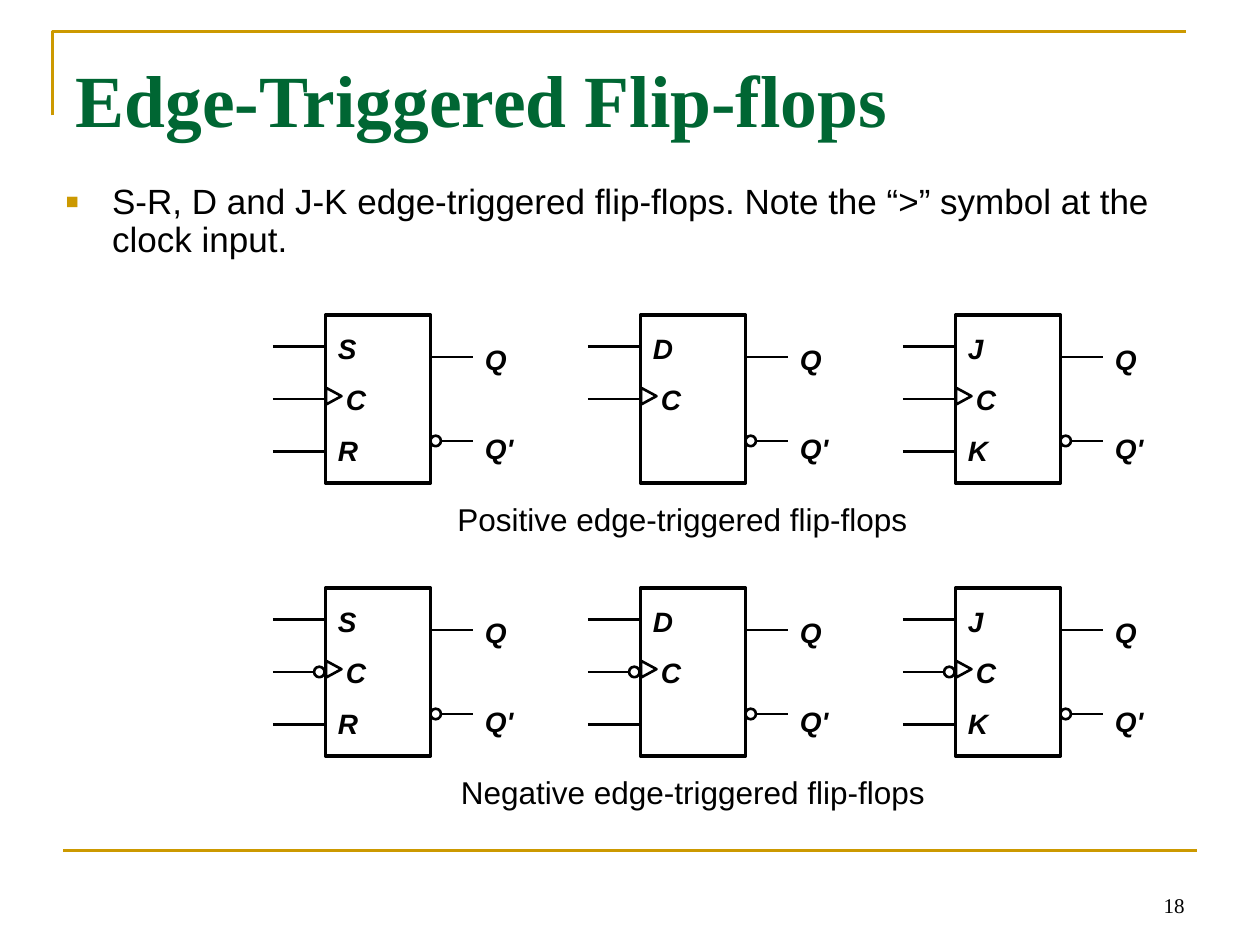
from dataclasses import dataclass
from typing import Optional

from lxml.etree import SubElement
from pptx import Presentation
from pptx.dml.color import RGBColor
from pptx.enum.shapes import MSO_CONNECTOR, MSO_SHAPE
from pptx.enum.text import MSO_ANCHOR, PP_ALIGN
from pptx.oxml.ns import qn
from pptx.util import Pt


@dataclass(frozen=True)
class Theme:
    ink: RGBColor = RGBColor(0x00, 0x00, 0x00)
    green: RGBColor = RGBColor(0x00, 0x66, 0x33)
    gold: RGBColor = RGBColor(0xCC, 0x99, 0x00)
    serif: str = "Times New Roman"
    sans: str = "Arial"
    title_size: float = 42
    body_size: float = 20
    caption_size: float = 18
    label_size: float = 16
    number_size: float = 12
    line_width: float = 1.5
    box_width: float = 2


@dataclass(frozen=True)
class FlipFlop:
    first: str
    last: Optional[str]
    last_when_positive: bool = True


@dataclass(frozen=True)
class Row:
    top: float
    negative: bool
    caption: str
    caption_left: float


THEME = Theme()
FLIP_FLOPS = [FlipFlop("S", "R"), FlipFlop("D", None, False), FlipFlop("J", "K")]
ROWS = [
    Row(180, False, "Positive edge-triggered flip-flops", 246),
    Row(336, True, "Negative edge-triggered flip-flops", 252),
]
FIRST_LEFT, COLUMN_PITCH = 186, 180
BOX_WIDTH, BOX_HEIGHT = 60, 96
BUBBLE = 6
LEAD_IN, LEAD_OUT = 30, 24
FIRST_INPUT, CLOCK_INPUT, LAST_INPUT = 18, 48, 78
TRUE_OUTPUT, INVERTED_OUTPUT = 24, 72


def set_font(para, size: float, name: str = THEME.sans, color=THEME.ink,
             bold: bool = False, italic: bool = False) -> None:
    font = para.font
    font.size, font.name = Pt(size), name
    font.bold, font.italic = bold, italic
    font.color.rgb = color


def add_text(shapes, left: float, top: float, width: float, height: float,
             lines: list[str]):
    box = shapes.add_textbox(Pt(left), Pt(top), Pt(width), Pt(height))
    frame = box.text_frame
    frame.word_wrap = True
    frame.text = "\n".join(lines)
    return frame


def add_line(shapes, x1: float, y1: float, x2: float, y2: float, color=THEME.ink):
    line = shapes.add_connector(MSO_CONNECTOR.STRAIGHT, Pt(x1), Pt(y1), Pt(x2), Pt(y2))
    line.line.color.rgb = color
    line.line.width = Pt(THEME.line_width)
    SubElement(line._element.spPr, qn("a:effectLst"))
    return line


def add_outline(shapes, kind, left: float, top: float, width: float, height: float,
                weight: float = THEME.line_width):
    shape = shapes.add_shape(kind, Pt(left), Pt(top), Pt(width), Pt(height))
    shape.shadow.inherit = False
    shape.fill.background()
    shape.line.color.rgb = THEME.ink
    shape.line.width = Pt(weight)
    return shape


def add_bubble(shapes, left: float, center: float) -> None:
    add_outline(shapes, MSO_SHAPE.OVAL, left, center - BUBBLE / 2, BUBBLE, BUBBLE)


def add_labels(shapes, left: float, top: float, width: float, height: float,
               lines: list[str], gap: float):
    frame = add_text(shapes, left, top, width, height, lines)
    for index, para in enumerate(frame.paragraphs):
        if index:
            para.space_before = Pt(gap)
        set_font(para, THEME.label_size, bold=True, italic=True)
    return frame


def draw_flip_flop(page, left: float, top: float, kind: FlipFlop, negative: bool) -> None:
    shapes = page.shapes.add_group_shape().shapes
    right, start = left + BOX_WIDTH, left - LEAD_IN
    output_end = right + LEAD_OUT
    clock, inverted = top + CLOCK_INPUT, top + INVERTED_OUTPUT
    box = add_outline(shapes, MSO_SHAPE.RECTANGLE, left, top, BOX_WIDTH, BOX_HEIGHT,
                      THEME.box_width)

    add_line(shapes, start, top + FIRST_INPUT, left, top + FIRST_INPUT)
    if negative:
        add_line(shapes, start, clock, left - BUBBLE, clock)
        add_bubble(shapes, left - BUBBLE - 0.5, clock)
    else:
        add_line(shapes, start, clock, left, clock).end_connect(box, 1)
    if negative or kind.last_when_positive:
        add_line(shapes, start, top + LAST_INPUT, left, top + LAST_INPUT)
    wedge = add_outline(shapes, MSO_SHAPE.ISOSCELES_TRIANGLE, left, top + 42, 9.5, 8.75)
    wedge.rotation = 90

    add_line(shapes, right, top + TRUE_OUTPUT, output_end, top + TRUE_OUTPUT)
    add_bubble(shapes, right, inverted)
    add_line(shapes, right + BUBBLE, inverted, output_end, inverted)

    inputs = [kind.first, "C"] + ([kind.last] if kind.last else [])
    frame = add_labels(shapes, left, top + 6, 42, 85 if kind.last else 55, inputs, 10)
    frame.paragraphs[1]._p.get_or_add_pPr().set("marL", str(Pt(4.5)))
    add_labels(shapes, output_end, top + 12, 36, 77, ["Q", "Q'"], 32)


def add_bullet(para) -> None:
    properties = para._p.get_or_add_pPr()
    properties.set("marL", str(Pt(27)))
    properties.set("indent", str(Pt(-27)))
    color = SubElement(properties, qn("a:buClr"))
    SubElement(color, qn("a:srgbClr"), val=str(THEME.gold))
    SubElement(properties, qn("a:buSzPct"), val="120000")
    SubElement(properties, qn("a:buFont"), typeface=THEME.sans)
    SubElement(properties, qn("a:buChar"), char="▪")


def draw_frame(page) -> None:
    builder = page.shapes.build_freeform(Pt(30), Pt(66))
    builder.add_line_segments([(Pt(30), Pt(18)), (Pt(678), Pt(18))], close=False)
    corner = builder.convert_to_shape()
    corner.shadow.inherit = False
    corner.fill.background()
    corner.line.color.rgb = THEME.gold
    corner.line.width = Pt(THEME.line_width)
    add_line(page.shapes, 36, 486, 684, 486, THEME.gold)


def draw_text(page) -> None:
    title = page.shapes.title
    title.left, title.top, title.width, title.height = Pt(36), Pt(21.6), Pt(648), Pt(90)
    frame = title.text_frame
    frame.text = "Edge-Triggered Flip-flops"
    frame.vertical_anchor = MSO_ANCHOR.TOP
    frame.margin_top = Pt(9)
    para = frame.paragraphs[0]
    para.alignment = PP_ALIGN.LEFT
    set_font(para, THEME.title_size, THEME.serif, THEME.green, bold=True)

    para = add_text(page.shapes, 30, 102, 642, 60, [
        "S-R, D and J-K edge-triggered flip-flops. "
        "Note the “>” symbol at the clock input."]).paragraphs[0]
    add_bullet(para)
    para.line_spacing = 0.9
    set_font(para, THEME.body_size)

    frame = add_text(page.shapes, 516, 492, 168, 36, ["18"])
    frame.vertical_anchor = MSO_ANCHOR.BOTTOM
    para = frame.paragraphs[0]
    para.alignment = PP_ALIGN.RIGHT
    set_font(para, THEME.number_size, THEME.serif)


def main() -> None:
    deck = Presentation()
    deck.slide_width, deck.slide_height = Pt(720), Pt(540)
    page = deck.slides.add_slide(deck.slide_layouts[5])
    draw_frame(page)
    draw_text(page)
    for row in ROWS:
        for column, kind in enumerate(FLIP_FLOPS):
            draw_flip_flop(page, FIRST_LEFT + column * COLUMN_PITCH, row.top, kind,
                           row.negative)
        para = add_text(page.shapes, row.caption_left, row.top + 102, 288, 29,
                        [row.caption]).paragraphs[0]
        para.alignment = PP_ALIGN.CENTER
        set_font(para, THEME.caption_size)
    deck.save("out.pptx")


if __name__ == "__main__":
    main()
